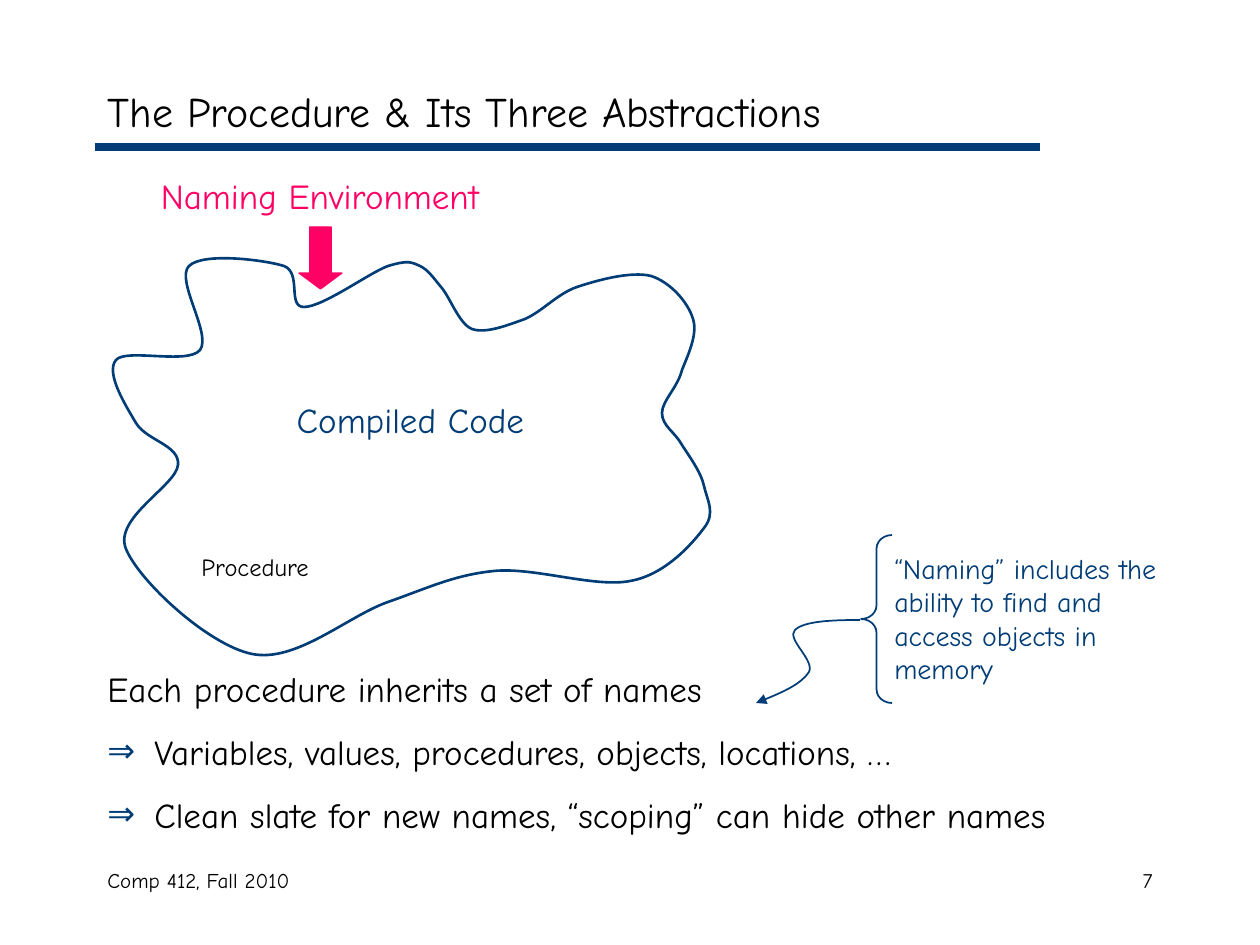
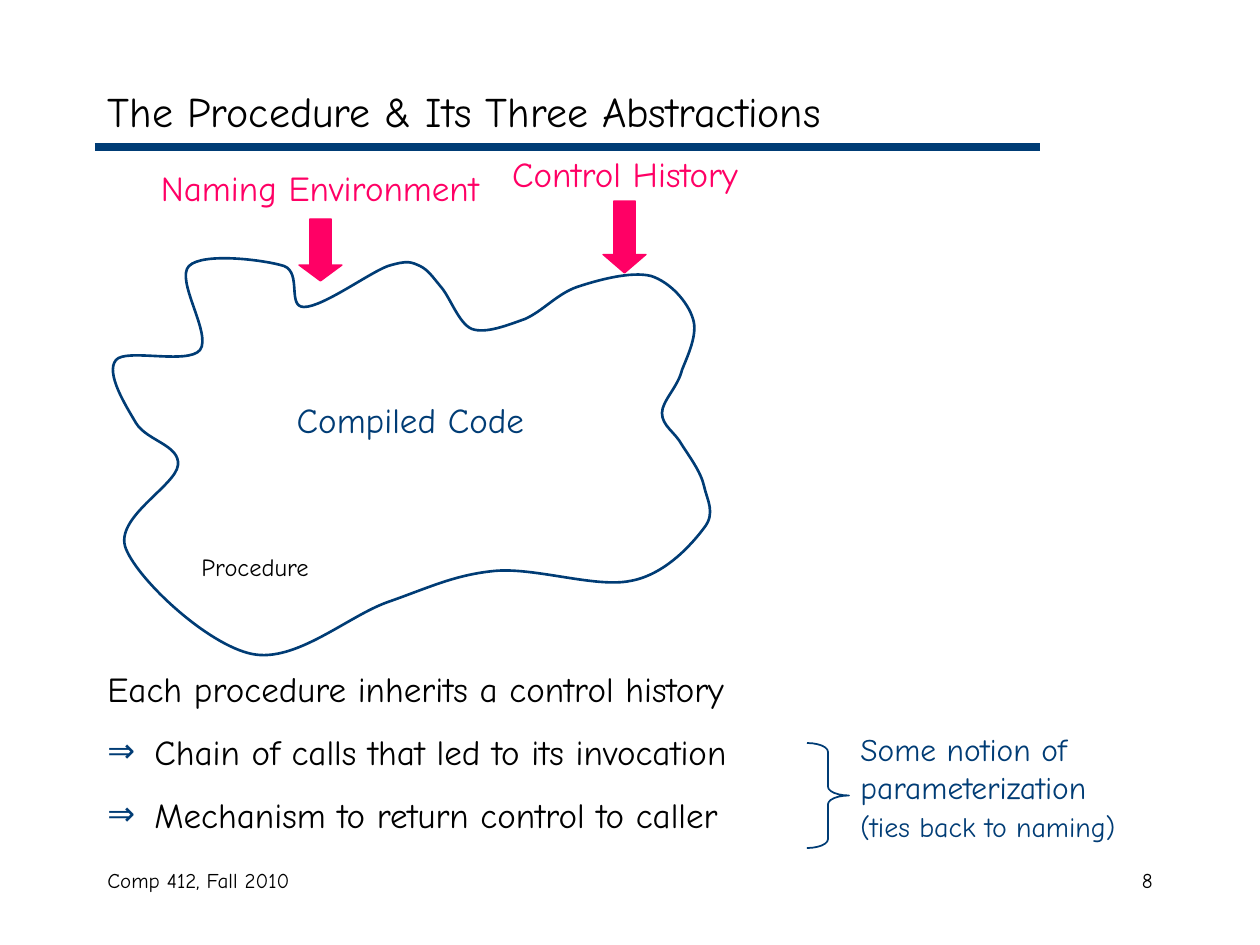
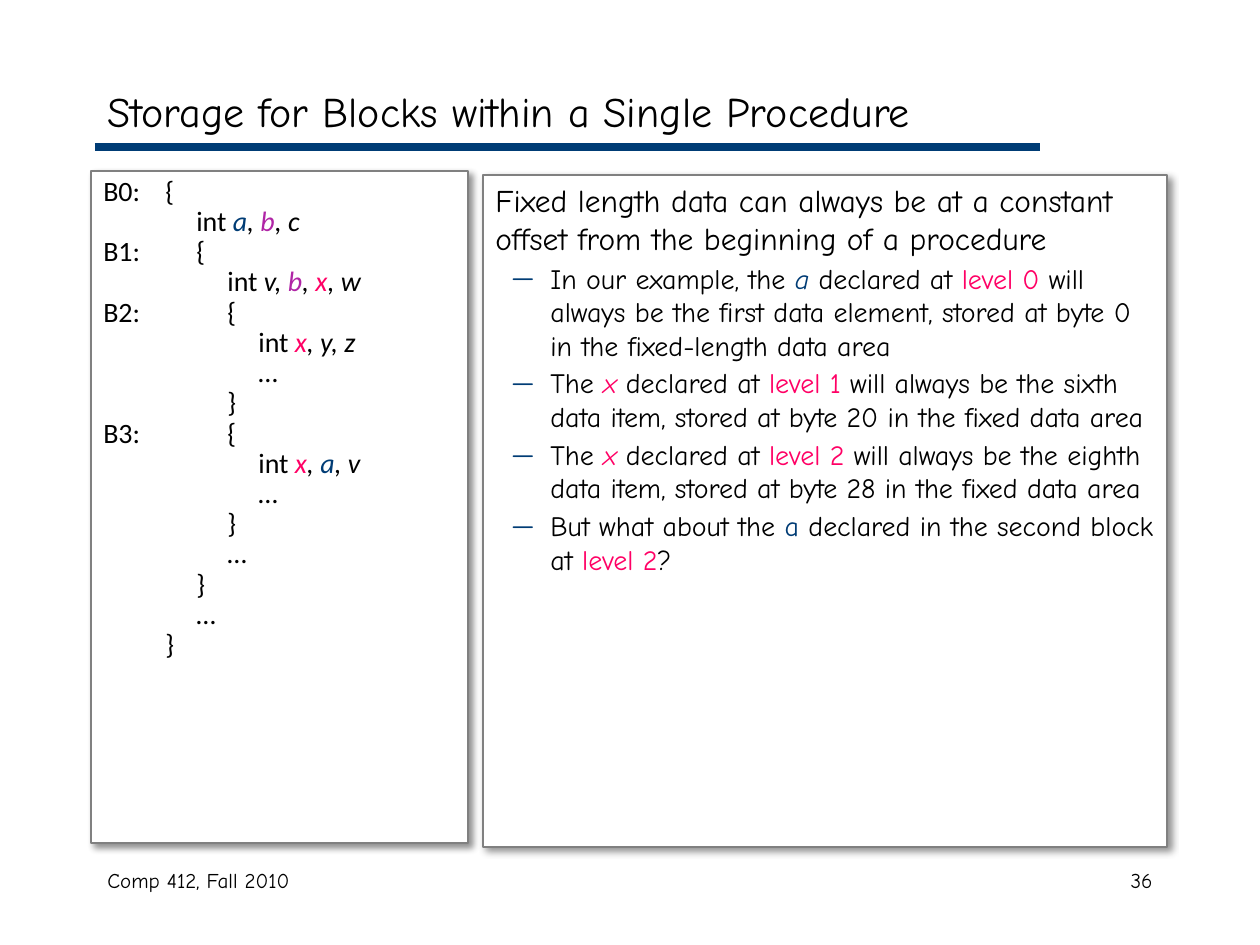
from lxml.etree import SubElement
from pptx import Presentation
from pptx.dml.color import RGBColor
from pptx.enum.shapes import MSO_CONNECTOR, MSO_SHAPE
from pptx.enum.text import MSO_ANCHOR, PP_ALIGN
from pptx.oxml.ns import qn
from pptx.util import Pt

PX = 914400 / 126  # EMU in one px

BLACK = RGBColor(0x00, 0x00, 0x00)
WHITE = RGBColor(0xFF, 0xFF, 0xFF)
NAVY = RGBColor(0x00, 0x3C, 0x75)
PINK = RGBColor(0xFF, 0x00, 0x65)
PLUM = RGBColor(0xB0, 0x25, 0xA6)
GREY = RGBColor(0x80, 0x80, 0x80)

FONT = "Comic Neue"
CODE = "Calibri"
TAB = 31
THREE = "The Procedure & Its Three Abstractions"

# Start point, then Bézier segments: two control points and an end point
BLOB = (136, 423), [
    (126, 406, 105, 373, 116, 360), (126, 348, 188, 365, 200, 350),
    (212, 334, 175, 280, 189, 266), (203, 252, 265, 260, 284, 266),
    (302, 273, 287, 307, 304, 307), (323, 307, 369, 273, 388, 266),
    (408, 260, 411, 262, 420, 266), (428, 270, 432, 276, 441, 287),
    (450, 297, 459, 324, 472, 329), (486, 334, 508, 325, 525, 319),
    (543, 311, 557, 294, 577, 287), (598, 280, 631, 271, 651, 276),
    (670, 282, 688, 302, 693, 319), (698, 334, 688, 355, 682, 370),
    (678, 387, 662, 401, 662, 413), (662, 426, 675, 432, 682, 445),
    (689, 456, 701, 472, 704, 486), (707, 500, 716, 513, 704, 528),
    (692, 544, 665, 575, 630, 581), (595, 588, 534, 567, 494, 571),
    (454, 575, 428, 588, 388, 602), (348, 616, 296, 663, 252, 654),
    (208, 645, 139, 581, 126, 549), (113, 518, 176, 486, 178, 465),
    (180, 445, 147, 441, 136, 423)]
SQUIG = (860, 620), [
    (833, 620, 804, 621, 795, 630), (786, 639, 815, 660, 809, 672),
    (801, 684, 779, 694, 756, 703)]


def emu(*px):
    return [round(n * PX) for n in px]


def ital(text, color=BLACK):
    return text, color, True


def tint(text, color):
    return text, color, False


# Text

def para(frame, runs, size, color=BLACK, font=FONT, align=PP_ALIGN.LEFT,
         before=0, mark=None, hang=(0, 0), scale=100, tabs=0, lines=None):
    """Write one paragraph; runs is a string or a list of strings and tuples."""
    par = frame.paragraphs[0]
    if par.runs:
        par = frame.add_paragraph()
    prop = par._p.get_or_add_pPr()
    if mark:
        left, back = emu(*hang)
        prop.set("marL", str(left))
        prop.set("indent", str(back))
        tone = SubElement(prop, qn("a:buClr"))
        SubElement(tone, qn("a:srgbClr")).set("val", str(NAVY))
        SubElement(prop, qn("a:buSzPct")).set("val", str(scale * 1000))
        SubElement(prop, qn("a:buFont")).set("typeface", font)
        SubElement(prop, qn("a:buChar")).set("char", mark)
    if tabs:
        stops = SubElement(prop, qn("a:tabLst"))
        for n in range(1, tabs + 1):
            stop = SubElement(stops, qn("a:tab"))
            stop.set("pos", str(emu(n * TAB)[0]))
            stop.set("algn", "l")
    par.alignment = align
    if before:
        par.space_before = Pt(before)
    if lines:
        par.line_spacing = lines
    par.font.name = font
    par.font.size = Pt(size)
    par.font.color.rgb = color
    for part in [runs] if isinstance(runs, str) else runs:
        run = par.add_run()
        if isinstance(part, str):
            run.text = part
        else:
            run.text, run.font.color.rgb, slant = part
            if slant:
                run.font.italic = True


def label(slide, box, text, size, **style):
    frame = slide.shapes.add_textbox(*emu(*box)).text_frame
    frame.word_wrap = True
    para(frame, text, size, **style)
    return frame


# Shapes

def plain(shape, line, width, fill=None):
    shape.shadow.inherit = False
    if fill is None:
        shape.fill.background()
    else:
        shape.fill.solid()
        shape.fill.fore_color.rgb = fill
    shape.line.color.rgb = line
    shape.line.width = Pt(width)


def preset(slide, kind, box, adjust, line, width, fill=None):
    shape = slide.shapes.add_shape(kind, *emu(*box))
    for n, value in enumerate(adjust):
        shape.adjustments[n] = value
    plain(shape, line, width, fill)


def curve(slide, course, width, close=False):
    """Lay out all points as a polyline, then join each three to a Bézier."""
    first, parts = course
    pen = slide.shapes.build_freeform(*emu(*first), scale=1.0)
    dots = [emu(*part[n:n + 2]) for part in parts for n in (0, 2, 4)]
    pen.add_line_segments(dots, close=close)
    shape = pen.convert_to_shape()
    legs = list(shape._element.iter(qn("a:lnTo")))
    for n in range(0, len(legs), 3):
        bend = legs[n]
        bend.tag = qn("a:cubicBezTo")
        for leg in legs[n + 1:n + 3]:
            bend.append(leg[0])
            leg.getparent().remove(leg)
    plain(shape, NAVY, width)
    return shape


def panel(slide, box):
    """White framed box with a soft shadow; gives back its text frame."""
    shape = slide.shapes.add_shape(MSO_SHAPE.RECTANGLE, *emu(*box))
    plain(shape, GREY, 1.5, WHITE)
    glow = SubElement(shape._element.spPr.find(qn("a:effectLst")),
                      qn("a:outerShdw"))
    for key, value in (("blurRad", Pt(4)), ("dist", Pt(3)),
                       ("dir", 45 * 60000), ("algn", "tl"),
                       ("rotWithShape", 0)):
        glow.set(key, str(value))
    tone = SubElement(glow, qn("a:srgbClr"))
    tone.set("val", str(BLACK))
    SubElement(tone, qn("a:alpha")).set("val", "43000")
    frame = shape.text_frame
    frame.word_wrap = True
    frame.vertical_anchor = MSO_ANCHOR.TOP
    return frame


# Parts the slides share

def start(deck, title, number):
    slide = deck.slides.add_slide(deck.slide_layouts[5])
    rule = slide.shapes.add_connector(MSO_CONNECTOR.STRAIGHT,
                                      *emu(95, 147, 1040, 147))
    rule.line.color.rgb = NAVY
    rule.line.width = Pt(4.5)
    SubElement(rule._element.spPr, qn("a:effectLst"))
    head = slide.shapes.title
    head.left, head.top, head.width, head.height = emu(95, 74, 1071, 74)
    head.text_frame.vertical_anchor = MSO_ANCHOR.MIDDLE
    para(head.text_frame, title, 24)
    label(slide, (95, 861, 400, 63), "Comp 412, Fall 2010", 12)
    label(slide, (903, 861, 262, 63), number, 12, align=PP_ALIGN.RIGHT)
    return slide


def cloud(slide):
    curve(slide, BLOB, 1.5, close=True)
    label(slide, (274, 392, 273, 54), "Compiled Code", 20, color=NAVY,
          align=PP_ALIGN.CENTER)
    label(slide, (189, 546, 210, 42), "Procedure", 14)


def entry(slide, text, left, top, arrow, tip):
    """Pink caption with an arrow down to the cloud."""
    label(slide, (left, top, 410, 54), text, 20, color=PINK,
          align=PP_ALIGN.CENTER)
    preset(slide, MSO_SHAPE.DOWN_ARROW, arrow, (0.5, tip), PINK, 0.75, PINK)


def points(slide, lead, items):
    frame = label(slide, (95, 661, 1071, 200), lead, 20)
    for item in items:
        para(frame, item, 20, before=12, mark="⇒", hang=(47, -47), scale=95)


# Slides

def naming(deck):
    slide = start(deck, THREE, "7")
    points(slide, "Each procedure inherits a set of names", [
        "Variables, values, procedures, objects, locations, …",
        "Clean slate for new names, “scoping” can hide other names"])
    label(slide, (882, 545, 305, 147),
          "“Naming” includes the ability to find and access objects in memory",
          16, color=NAVY)
    preset(slide, MSO_SHAPE.LEFT_BRACE, (861, 535, 31, 168), (0.44, 0.5),
           NAVY, 1)
    squig = curve(slide, SQUIG, 1)
    SubElement(squig.line._get_or_add_ln(),
               qn("a:tailEnd")).set("type", "triangle")
    entry(slide, "Naming Environment", 115, 168, (299, 227, 43, 62), 0.37)
    cloud(slide)


def control(deck):
    slide = start(deck, THREE, "8")
    points(slide, "Each procedure inherits a control history", [
        "Chain of calls that led to its invocation",
        "Mechanism to return control to caller"])
    entry(slide, "Naming Environment", 115, 160, (299, 219, 43, 62), 0.37)
    entry(slide, "Control History", 420, 146, (603, 201, 43, 72), 0.43)
    note = label(slide, (848, 724, 315, 127),
                 "Some notion of parameterization", 18, color=NAVY)
    para(note, "(ties back to naming)", 16, color=NAVY, before=2.4)
    preset(slide, MSO_SHAPE.RIGHT_BRACE, (807, 743, 42, 105), (0.21, 0.5),
           NAVY, 1)
    cloud(slide)


def storage(deck):
    slide = start(deck, "Storage for Blocks within a Single Procedure", "36")
    body = panel(slide, (483, 175, 684, 672))
    para(body, "Fixed length data can always be at a constant offset from "
               "the beginning of a procedure", 18)
    for runs in (
        ["In our example, the ", ital("a", NAVY), " declared at ",
         tint("level 0", PINK), " will always be the first data element, "
         "stored at byte 0 in the fixed-length data area"],
        ["The ", ital("x", PINK), " declared at ", tint("level 1", PINK),
         " will always be the sixth data item, stored at byte 20 in the "
         "fixed data area"],
        ["The ", ital("x", PINK), " declared at ", tint("level 2", PINK),
         " will always be the eighth data item, stored at byte 28 in the "
         "fixed data area"],
        ["But what about the ", tint("a ", NAVY),
         "declared in the second block at ", tint("level 2", PINK), "?"],
    ):
        para(body, runs, 16, before=2.4, mark="—", hang=(55, -39))

    code = panel(slide, (91, 171, 377, 672))
    comma, inner = ital(", "), ital("x", PINK)
    for runs in (
        "B0:\t{",
        ["\t\t\tint ", ital("a", NAVY), comma, ital("b", PLUM), ital(", c")],
        "B1:\t\t{",
        ["\t\t\t\tint ", ital("v, "), ital("b", PLUM), comma, inner,
         ital(", w")],
        "B2:\t\t\t{",
        ["\t\t\t\t\tint ", inner, ital(", y, z")],
        "\t\t\t\t\t…",
        "\t\t\t\t}",
        "B3:\t\t\t{",
        ["\t\t\t\t\tint ", inner, comma, ital("a", NAVY), ital(", v")],
        "\t\t\t\t\t…",
        "\t\t\t\t}",
        "\t\t\t\t…",
        "\t\t\t}",
        "\t\t\t…",
        "\t\t}",
    ):
        para(code, runs, 16, font=CODE, tabs=5, lines=0.9)


def main():
    deck = Presentation()
    deck.slide_width, deck.slide_height = emu(1260, 945)
    naming(deck)
    control(deck)
    storage(deck)
    deck.save("out.pptx")


if __name__ == "__main__":
    main()
